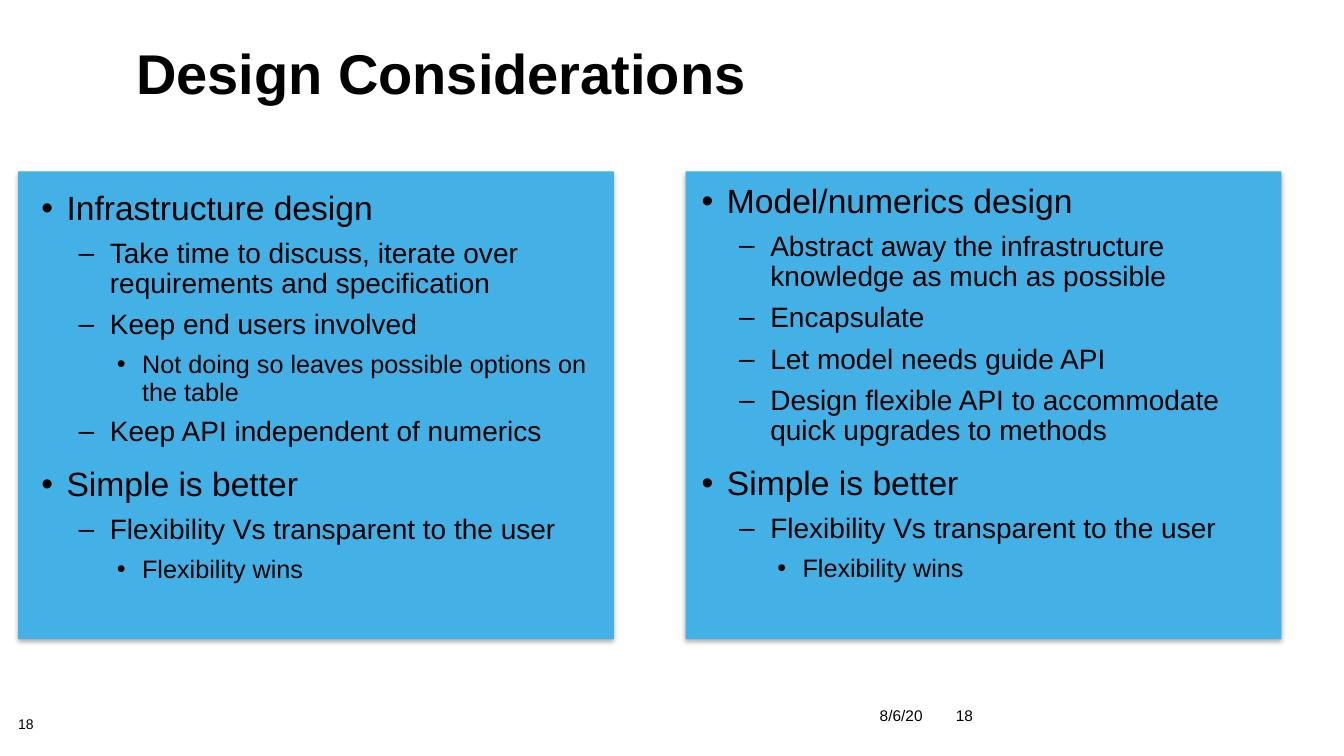
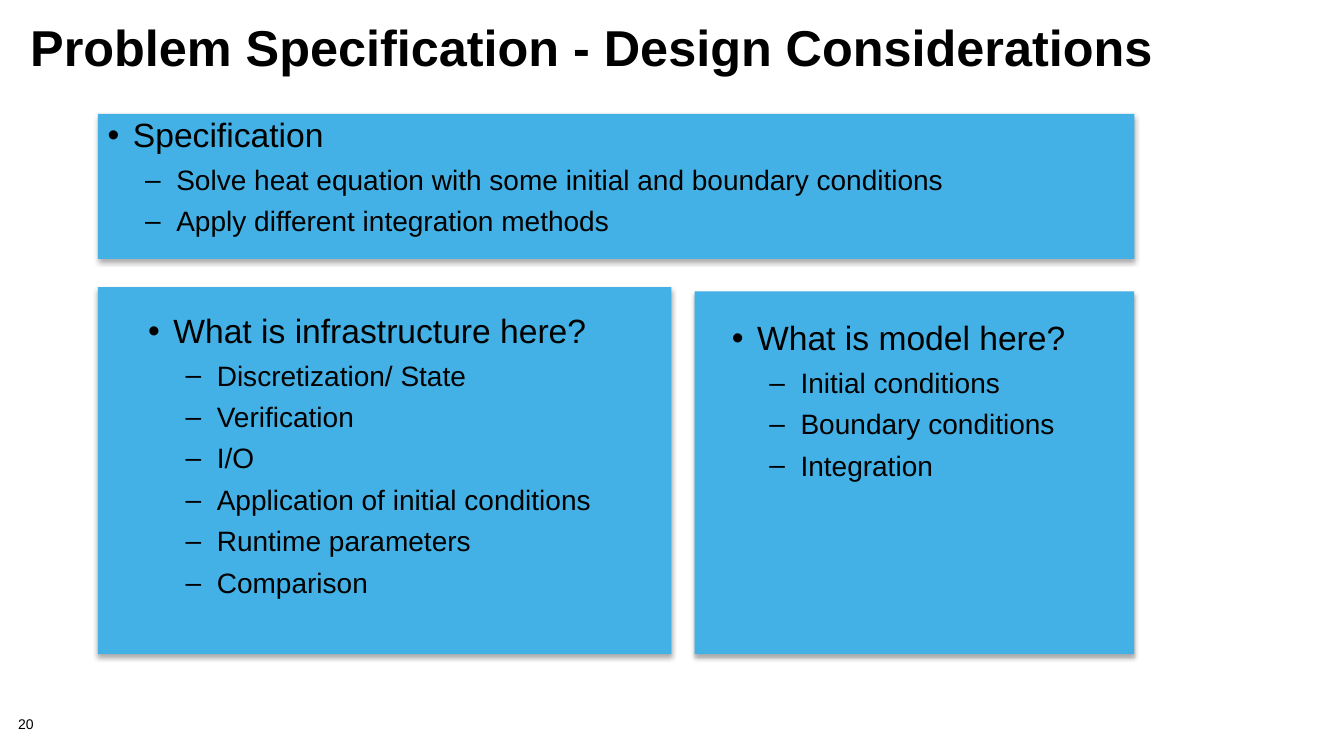
"""Build two slides of design considerations set in blue bullet panels."""
from dataclasses import dataclass

from lxml import etree
from pptx import Presentation
from pptx.dml.color import RGBColor
from pptx.enum import shapes, text
from pptx.oxml import ns
from pptx.util import Inches, Pt


@dataclass(frozen=True)
class Theme:
    """Colours, type sizes and spacing shared by the slides."""
    font: str = "Arial"
    ink: str = "000000"
    panel: str = "43B1E5"
    footer_size: int = 11
    number_size: int = 10
    title_spacing: float = 0.85
    body_spacing: float = 0.9


THEME = Theme()

LEVELS = [
    {"size": 24, "left": 0.25, "hang": 0.25, "before": 14, "bullet": "•"},
    {"size": 20, "left": 0.68, "hang": 0.31, "before": 8, "bullet": "–"},
    {"size": 18, "left": 1.0, "hang": 0.25, "before": 8, "bullet": "•"},
]

SIMPLE = [
    (0, "Simple is better"),
    (1, "Flexibility Vs transparent to the user"),
    (2, "Flexibility wins"),
]

SLIDES = [
    {
        "title": "Design Considerations",
        "title_box": (1.25, 0.43, 8.5, 0.74),
        "title_size": 40,
        "number": "18",
        "footers": [("8/6/20", (7.5, 6.95, 1.75, 0.3)), ("18", (9.25, 6.95, 0.5, 0.3))],
        "panels": [
            {
                "box": (0.18, 1.7, 5.91, 4.64),
                "inset": (0.23, 0.2),
                "points": [
                    (0, "Infrastructure design"),
                    (1, "Take time to discuss, iterate over requirements and specification"),
                    (1, "Keep end users involved"),
                    (2, "Not doing so leaves possible options on the table"),
                    (1, "Keep API independent of numerics"),
                    *SIMPLE,
                ],
            },
            {
                "box": (6.8, 1.7, 5.91, 4.64),
                "inset": (0.16, 0.13),
                "points": [
                    (0, "Model/numerics design"),
                    (1, "Abstract away the infrastructure knowledge as much as possible"),
                    (1, "Encapsulate"),
                    (1, "Let model needs guide API"),
                    (1, "Design flexible API to accommodate quick upgrades to methods"),
                    *SIMPLE,
                ],
            },
        ],
    },
    {
        "title": "Problem Specification - Design Considerations",
        "title_box": (0.2, 0.2, 12.47, 1.18),
        "title_size": 36,
        "number": "20",
        "footers": [],
        "panels": [
            {
                "box": (0.97, 1.13, 10.28, 1.44),
                "inset": (0.1, 0.05),
                "points": [
                    (0, "Specification"),
                    (1, "Solve heat equation with some initial and boundary conditions"),
                    (1, "Apply different integration methods"),
                ],
            },
            {
                "box": (0.97, 2.85, 5.69, 3.64),
                "inset": (0.5, 0.27),
                "points": [
                    (0, "What is infrastructure here?"),
                    (1, "Discretization/ State"),
                    (1, "Verification"),
                    (1, "I/O"),
                    (1, "Application of initial conditions"),
                    (1, "Runtime parameters"),
                    (1, "Comparison"),
                ],
            },
            {
                "box": (6.89, 2.89, 4.36, 3.6),
                "inset": (0.37, 0.3),
                "points": [
                    (0, "What is model here?"),
                    (1, "Initial conditions"),
                    (1, "Boundary conditions"),
                    (1, "Integration"),
                ],
            },
        ],
    },
]


def inches(values):
    return [Inches(value) for value in values]


def add_run(paragraph, words, size, bold=False):
    run = paragraph.add_run()
    run.text = words
    run.font.name = THEME.font
    run.font.size = Pt(size)
    run.font.bold = bold
    run.font.color.rgb = RGBColor.from_string(THEME.ink)


def set_frame(frame, anchor, insets=(0.1, 0.05, 0.1, 0.05)):
    frame.word_wrap = True
    frame.auto_size = text.MSO_AUTO_SIZE.NONE
    frame.vertical_anchor = anchor
    (frame.margin_left, frame.margin_top,
     frame.margin_right, frame.margin_bottom) = inches(insets)


def add_title(slide, content):
    title = slide.shapes.title
    title.left, title.top, title.width, title.height = inches(content["title_box"])
    set_frame(title.text_frame, text.MSO_ANCHOR.TOP)
    paragraph = title.text_frame.paragraphs[0]
    paragraph.alignment = text.PP_ALIGN.LEFT
    paragraph.line_spacing = THEME.title_spacing
    add_run(paragraph, content["title"], content["title_size"], bold=True)


def add_shadow(panel):
    panel.shadow.inherit = False
    effects = panel._element.spPr.find(ns.qn("a:effectLst"))
    shadow = etree.SubElement(effects, ns.qn("a:outerShdw"), blurRad=str(Pt(3.5)),
                              dist=str(Pt(2.2)), dir="5400000", rotWithShape="0")
    colour = etree.SubElement(shadow, ns.qn("a:srgbClr"), val=THEME.ink)
    etree.SubElement(colour, ns.qn("a:alpha"), val="32000")


def add_bullet(paragraph, level):
    props = paragraph._p.get_or_add_pPr()
    props.set("marL", str(Inches(level["left"])))
    props.set("indent", str(-Inches(level["hang"])))
    colour = etree.SubElement(props, ns.qn("a:buClr"))
    etree.SubElement(colour, ns.qn("a:srgbClr"), val=THEME.ink)
    etree.SubElement(props, ns.qn("a:buFont"), typeface=THEME.font)
    etree.SubElement(props, ns.qn("a:buChar"), char=level["bullet"])


def add_panel(slide, content):
    panel = slide.shapes.add_shape(shapes.MSO_SHAPE.RECTANGLE, *inches(content["box"]))
    panel.fill.solid()
    panel.fill.fore_color.rgb = RGBColor.from_string(THEME.panel)
    panel.line.fill.background()
    add_shadow(panel)
    frame = panel.text_frame
    set_frame(frame, text.MSO_ANCHOR.TOP, (*content["inset"], 0.1, 0.05))
    for index, (depth, words) in enumerate(content["points"]):
        level = LEVELS[depth]
        paragraph = frame.add_paragraph() if index else frame.paragraphs[0]
        paragraph.level = depth
        add_bullet(paragraph, level)
        paragraph.alignment = text.PP_ALIGN.LEFT
        paragraph.line_spacing = THEME.body_spacing
        paragraph.space_before = Pt(level["before"] if index else 0)
        add_run(paragraph, words, level["size"])


def add_footer(slide, words, box):
    footer = slide.shapes.add_textbox(*inches(box))
    set_frame(footer.text_frame, text.MSO_ANCHOR.MIDDLE)
    paragraph = footer.text_frame.paragraphs[0]
    paragraph.alignment = text.PP_ALIGN.RIGHT
    add_run(paragraph, words, THEME.footer_size)


def add_number(slide, words):
    number = slide.shapes.add_textbox(*inches((0.18, 7.12, 0.56, 0.16)))
    set_frame(number.text_frame, text.MSO_ANCHOR.TOP, (0, 0, 0, 0))
    paragraph = number.text_frame.paragraphs[0]
    paragraph.line_spacing = THEME.body_spacing
    add_run(paragraph, words, THEME.number_size)


def main():
    deck = Presentation()
    deck.slide_width, deck.slide_height = inches((13.33, 7.5))
    title_only = deck.slide_layouts[5]
    for content in SLIDES:
        slide = deck.slides.add_slide(title_only)
        add_title(slide, content)
        for panel in content["panels"]:
            add_panel(slide, panel)
        for words, box in content["footers"]:
            add_footer(slide, words, box)
        add_number(slide, content["number"])
    deck.save("out.pptx")


if __name__ == "__main__":
    main()
